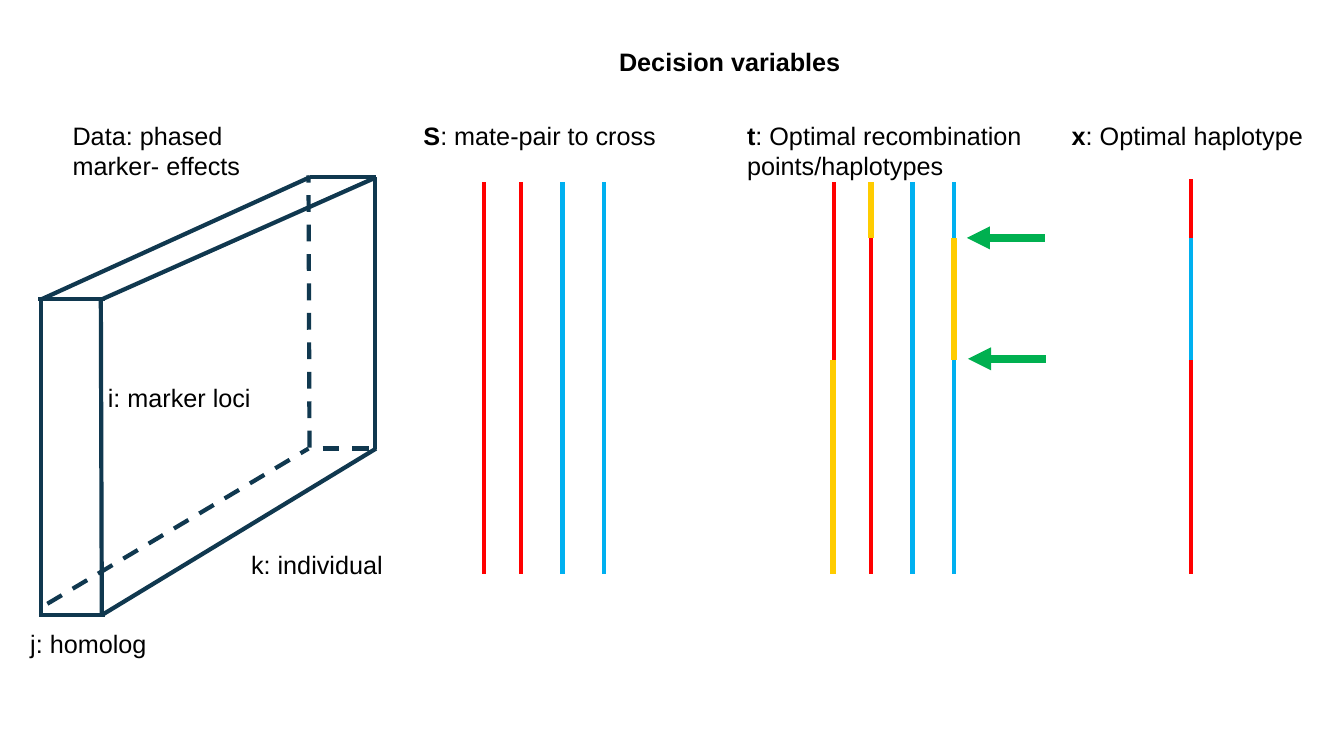
from dataclasses import dataclass

from lxml.etree import SubElement
from pptx import Presentation
from pptx.dml.color import RGBColor
from pptx.enum.dml import MSO_LINE
from pptx.enum.shapes import MSO_CONNECTOR
from pptx.oxml.ns import qn
from pptx.util import Inches, Pt


@dataclass(frozen=True)
class Theme:
    font: str = "Arial"
    text_size: float = 18
    text: str = "000000"
    cuboid: str = "10384F"
    red: str = "FF0000"
    blue: str = "00B0F0"
    chosen: str = "FFCC00"
    arrow: str = "00B050"


theme = Theme()


def add_line(shapes, start, end, color, width=3):
    line = shapes.add_connector(
        MSO_CONNECTOR.STRAIGHT, *(Inches(value) for value in (*start, *end))
    )
    line.line.color.rgb = RGBColor.from_string(color)
    line.line.width = Pt(width)
    SubElement(line._element.spPr, qn("a:effectLst"))
    return line


def add_label(left, top, width, symbol, wording):
    frame = slide.shapes.add_textbox(
        Inches(left), Inches(top), Inches(width), Inches(0.54)
    ).text_frame
    frame.word_wrap = True
    frame.margin_left = frame.margin_right = 0
    frame.margin_top = frame.margin_bottom = 0
    paragraph = frame.paragraphs[0]
    paragraph.font.name = theme.font
    paragraph.font.size = Pt(theme.text_size)
    paragraph.font.color.rgb = RGBColor.from_string(theme.text)
    for words, bold in ((symbol, True), (wording, False)):
        if words:
            run = paragraph.add_run()
            run.text = words
            run.font.bold = bold


deck = Presentation()
deck.slide_width = Inches(13.33)
deck.slide_height = Inches(7.5)
slide = deck.slides.add_slide(deck.slide_layouts[6])

cuboid = slide.shapes.add_group_shape().shapes
visible_edges = [
    ((0.41, 2.96), (0.41, 6.12)),
    ((1, 2.97), (1.01, 6.12)),
    ((0.41, 2.97), (3.07, 1.76)),
    ((1.01, 2.97), (3.73, 1.76)),
    ((3.07, 1.76), (3.73, 1.76)),
    ((0.39, 6.1), (1.04, 6.1)),
    ((1.03, 6.09), (3.73, 4.45)),
    ((3.72, 4.45), (3.72, 1.76)),
    ((0.38, 2.97), (1.04, 2.97)),
]
hidden_edges = [
    ((3.07, 4.44), (3.06, 1.74)),
    ((0.47, 5.99), (3.06, 4.45)),
    ((3.2, 4.45), (3.78, 4.45)),
]
for start, end in visible_edges:
    add_line(cuboid, start, end, theme.cuboid)
for start, end in hidden_edges:
    add_line(cuboid, start, end, theme.cuboid).line.dash_style = MSO_LINE.DASH

for label in [
    (2.49, 5.45, 1.42, "", "k: individual"),
    (0.3, 6.23, 1.42, "", "j: homolog"),
    (1.07, 3.79, 1.6, "", "i: marker loci"),
    (0.72, 1.19, 2.36, "", "Data: phased marker- effects"),
    (6.14, 0.46, 2.36, "Decision variables", ""),
    (4.2, 1.19, 2.36, "S", ": mate-pair to cross"),
    (7.41, 1.19, 3.2, "t", ": Optimal recombination points/haplotypes"),
    (10.63, 1.19, 2.6, "x", ": Optimal haplotype"),
]:
    add_label(*label)

strand_top, first_cut, second_cut, strand_bottom = 1.81, 2.36, 3.57, 5.69
homologs = [(0, theme.red), (0.37, theme.red), (0.78, theme.blue), (1.19, theme.blue)]
for panel_left in (4.8, 8.27):
    for offset, color in homologs:
        x = panel_left + offset
        add_line(slide.shapes, (x, strand_bottom), (x, strand_top), color)

for x, top, bottom in [
    (8.64, strand_top, first_cut),
    (9.46, first_cut, second_cut),
    (8.26, second_cut, strand_bottom),
]:
    add_line(slide.shapes, (x, bottom), (x, top), theme.chosen, 4.5)

haplotype = slide.shapes.add_group_shape().shapes
for top, bottom, color in [
    (1.78, first_cut, theme.red),
    (first_cut, second_cut, theme.blue),
    (second_cut, strand_bottom, theme.red),
]:
    add_line(haplotype, (11.81, bottom), (11.81, top), color)

for right, y in ((10.36, 2.36), (10.37, 3.56)):
    arrow = add_line(slide.shapes, (right, y), (right - 0.77, y), theme.arrow, 5.5)
    SubElement(arrow.line._get_or_add_ln(), qn("a:tailEnd"), type="triangle")

deck.save("out.pptx")
